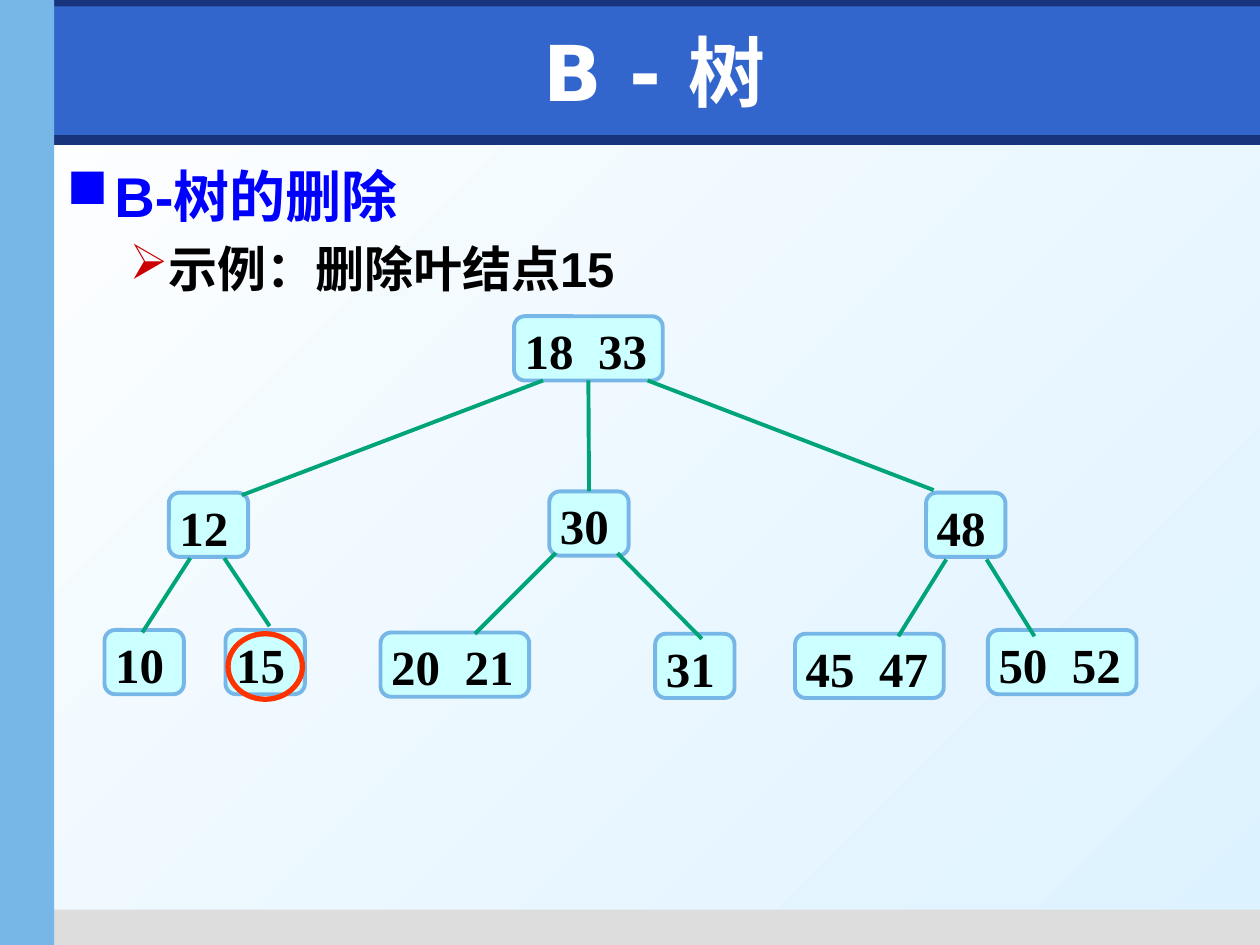
"""Build a slide showing a B-tree before leaf key 15 is deleted."""
from lxml.etree import SubElement
from pptx import Presentation
from pptx.dml.color import RGBColor
from pptx.enum.shapes import MSO_CONNECTOR, MSO_SHAPE
from pptx.enum.text import MSO_ANCHOR, PP_ALIGN
from pptx.oxml.ns import qn
from pptx.util import Inches, Pt

presentation = Presentation()
presentation.slide_width, presentation.slide_height = Inches(10), Inches(7.5)
column, row = presentation.slide_width / 100, presentation.slide_height / 75
slide = presentation.slides.add_slide(presentation.slide_layouts[6])


def grid(*lengths):
    return [round(length * (row if index % 2 else column)) for index, length in enumerate(lengths)]


def apply_format(target, values):
    for name, value in values.items():
        if name == "color":
            fill = target if hasattr(target, "solid") else target.fill
            fill.solid()
            fill.fore_color.rgb = RGBColor.from_string(value)
        else:
            setattr(target, name, value)


background = slide.background.fill
background.gradient()
background.gradient_angle = 315
for stop, shade in zip(background.gradient_stops, ("FFFFFF", "DDF2FF")):
    stop.color.rgb = RGBColor.from_string(shade)

bands = [
    ((0.4, 10.7, 99.6, 0.8), "17347D"),
    ((3.5, 72.2, 96.5, 2.8), "DDDDDD"),
    ((0, 0, 100, 2.1), "17347D"),
    ((4.3, 0.5, 95.7, 10.2), "3366CC"),
    ((0, 0, 4.3, 75), "77B7E7"),
]
for place, shade in bands:
    band = slide.shapes.add_shape(MSO_SHAPE.RECTANGLE, *grid(*place))
    band.shadow.inherit = False
    apply_format(band.fill, {"color": shade})
    band.line.fill.background()

title = slide.shapes.add_textbox(*grid(5.9, 1.3, 92.1, 8.7)).text_frame
apply_format(title, {"word_wrap": True, "vertical_anchor": MSO_ANCHOR.MIDDLE})
paragraph = title.paragraphs[0]
paragraph.alignment = PP_ALIGN.CENTER
run = paragraph.add_run()
run.text = "B - 树"
apply_format(run.font, {"size": Pt(44), "bold": True, "name": "DejaVu Sans", "color": "FFFFFF"})

body = slide.shapes.add_textbox(*grid(4.3, 12.3, 93.7, 59)).text_frame
body.word_wrap = True
outline = [
    ("B-树的删除", 0, 32, "0000FF", "■", "0000FF", 0.38, 0.38),
    ("示例：删除叶结点15", 1, 28, "000000", "➢", "CC0000", 0.81, 0.31),
]
for text, level, size, shade, bullet, bullet_shade, margin, hanging in outline:
    paragraph = body.add_paragraph() if level else body.paragraphs[0]
    apply_format(paragraph, {"level": level, "space_before": Pt(0.2 * size * level)})
    properties = paragraph._p.get_or_add_pPr()
    properties.set("marL", str(Inches(margin)))
    properties.set("indent", str(-Inches(hanging)))
    bullet_color = SubElement(properties, qn("a:buClr"))
    SubElement(bullet_color, qn("a:srgbClr")).set("val", bullet_shade)
    SubElement(properties, qn("a:buChar")).set("char", bullet)
    run = paragraph.add_run()
    run.text = text
    apply_format(run.font, {"size": Pt(size), "bold": True, "name": "Arial", "color": shade})

node_frame = {
    "margin_left": Inches(0.06), "margin_right": Inches(0.02),
    "margin_top": Inches(0.01), "margin_bottom": Inches(0.01),
    "vertical_anchor": MSO_ANCHOR.TOP, "word_wrap": True,
}
node_font = {"size": Pt(28), "bold": True, "name": "Times New Roman", "color": "000000"}
tree = [
    ("18 33", 40.8, 25.1),
    ("12", 13.4, 39.1), ("30", 43.6, 39), ("48", 73.5, 39.1),
    ("10", 8.3, 50), ("15", 17.9, 50),
    ("20 21", 30.2, 50.2), ("31", 52, 50.3),
    ("45 47", 63.1, 50.3), ("50 52", 78.4, 50),
]
nodes = {}
for keys, left, top in tree:
    width = 11.8 if " " in keys else 6.3
    node = slide.shapes.add_shape(MSO_SHAPE.ROUNDED_RECTANGLE, *grid(left, top, width, 5.1))
    node.shadow.inherit = False
    apply_format(node.fill, {"color": "CCFFFF"})
    apply_format(node.line, {"color": "77B7E7", "width": Pt(2.25)})
    apply_format(node.text_frame, node_frame)
    paragraph = node.text_frame.paragraphs[0]
    paragraph.alignment = PP_ALIGN.JUSTIFY
    for part in keys.partition(" "):
        if part:
            run = paragraph.add_run()
            run.text = part
            apply_format(run.font, node_font)
            if part == " ":
                run._r.get_or_add_rPr().set("spc", "700")
    nodes[keys] = node

edges = [
    (43.1, 30.2, 19.2, 39.3), (46.8, 30.2, 46.8, 39), (51.4, 30.2, 74.1, 38.9),
    (15.1, 44.3, 11.3, 50.2), (17.8, 44.3, 21.4, 49.7),
    (44.1, 43.9, 37.7, 50.3), (49, 43.9, 55.7, 50.7),
    (75.1, 44.4, 71.3, 50.5), (78.3, 44.4, 82.1, 50.5),
]
for ends in edges:
    edge = slide.shapes.add_connector(MSO_CONNECTOR.STRAIGHT, *grid(*ends))
    apply_format(edge.line, {"color": "00A479", "width": Pt(2.25)})
    SubElement(edge._element.spPr, qn("a:effectLst"))
    if ends[0] == ends[2]:
        edge.begin_connect(nodes["18 33"], 2)
        edge.end_connect(nodes["30"], 0)

deletion_mark = slide.shapes.add_shape(MSO_SHAPE.OVAL, *grid(18.1, 50.3, 5.9, 5.2))
deletion_mark.shadow.inherit = False
deletion_mark.fill.background()
apply_format(deletion_mark.line, {"color": "FF3300", "width": Pt(3)})

presentation.save("out.pptx")
